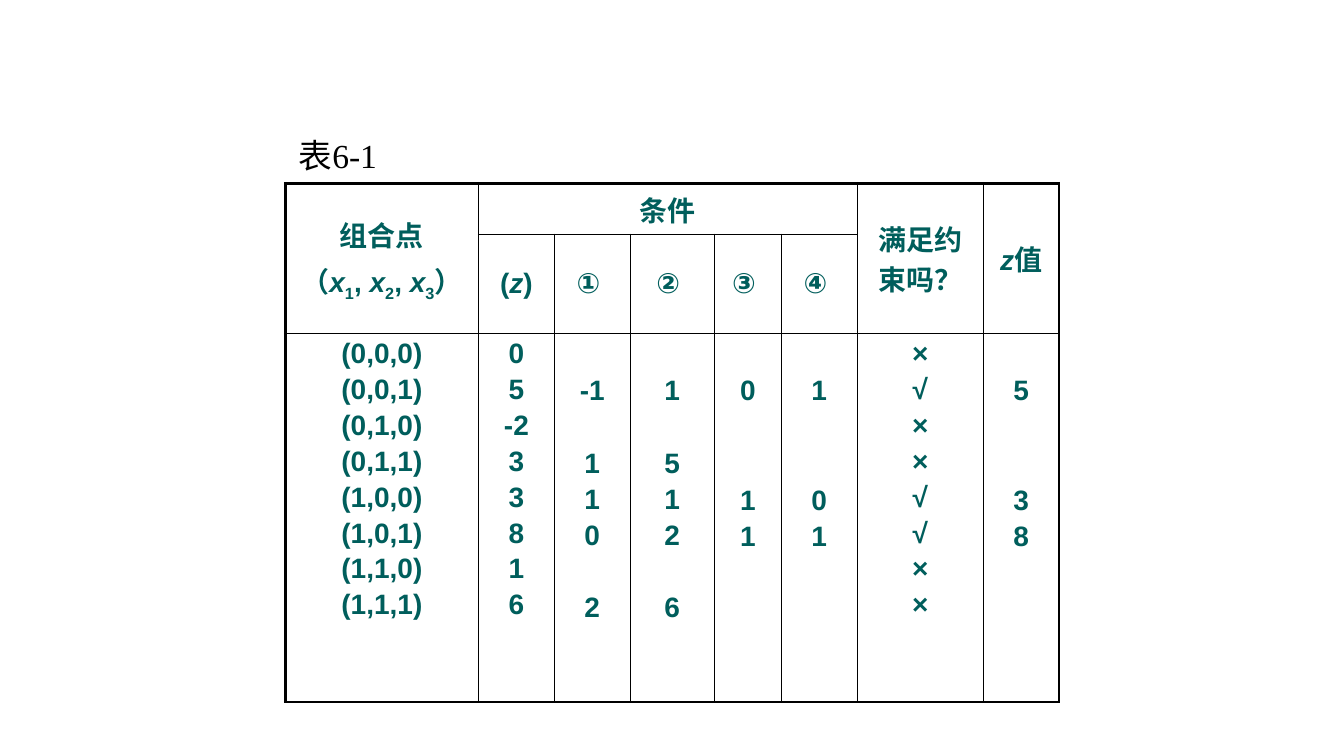
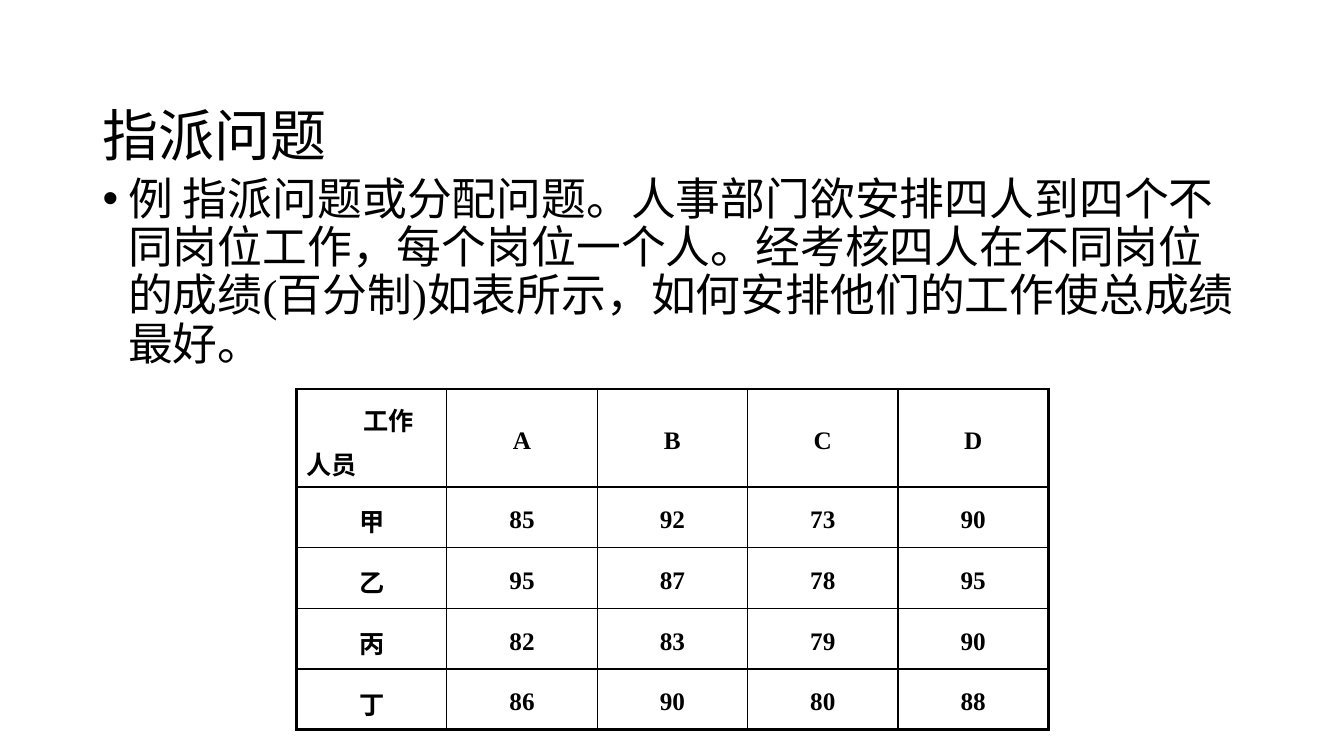
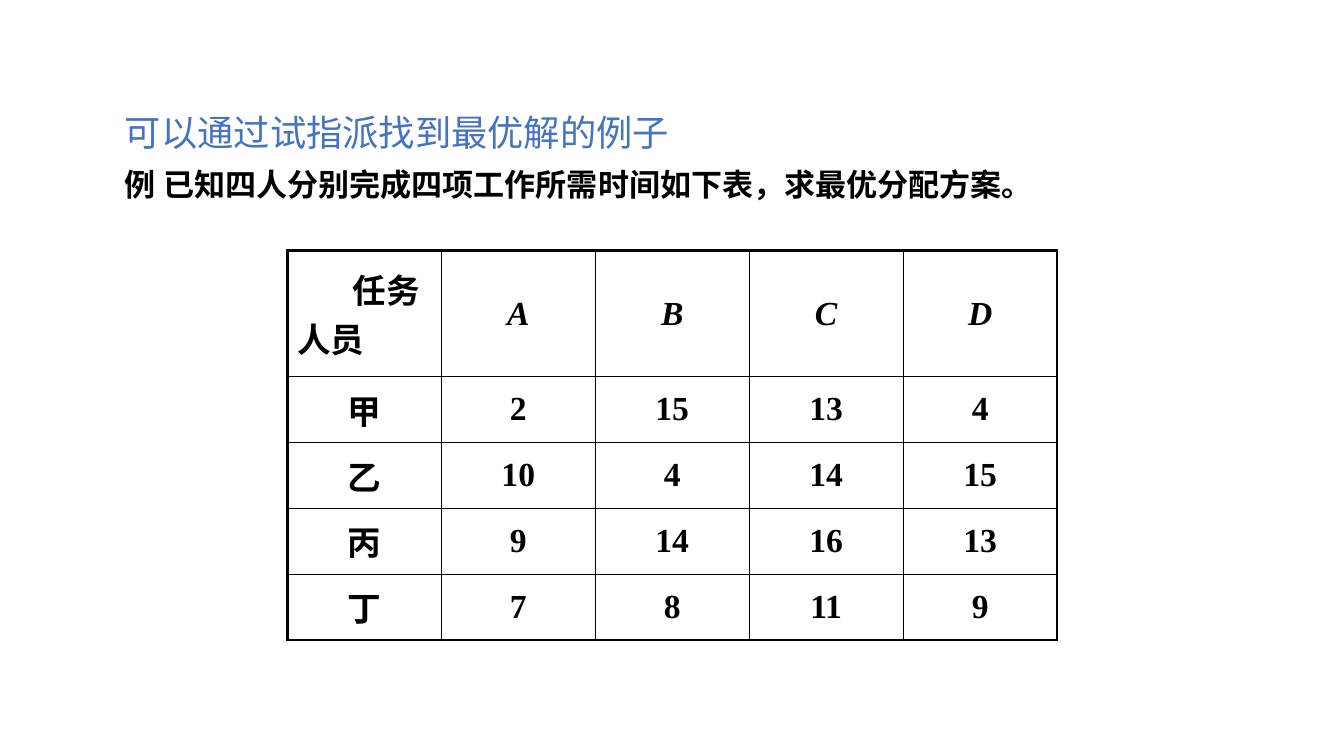
"""Build three slides on 0-1 enumeration and the assignment problem."""
from dataclasses import dataclass, replace

from lxml import etree
from pptx import Presentation
from pptx.dml.color import RGBColor
from pptx.enum.text import MSO_ANCHOR, PP_ALIGN
from pptx.oxml.ns import qn
from pptx.util import Cm, Pt

LEFT, CENTER = PP_ALIGN.LEFT, PP_ALIGN.CENTER
TOP, MIDDLE = MSO_ANCHOR.TOP, MSO_ANCHOR.MIDDLE
BLANK_LAYOUT = 6


@dataclass(frozen=True)
class TextStyle:
    """Character format of a run."""
    size: float
    color: str = "000000"
    latin: str = "Times New Roman"
    asian: str = "Noto Sans CJK SC"
    bold: bool = False
    italic: bool = False
    baseline: int = 0


@dataclass(frozen=True)
class Para:
    """Runs of (text, style) with their paragraph format."""
    runs: tuple
    align: PP_ALIGN = LEFT
    line_spacing: float = 1.0
    before: float = 0
    indent: float = 0
    bullet: str = ""


@dataclass(frozen=True)
class Theme:
    """Colours, type sizes and line widths of the deck."""
    line_color: str = "000000"
    outer_line: float = 2.25
    inner_line: float = 1
    cell_margin: float = 0.13
    row_pitch: float = 26.3
    row_gap: float = 3.3
    caption: TextStyle = TextStyle(24)
    enumeration: TextStyle = TextStyle(20, "005E5C", "Arial", bold=True)
    title: TextStyle = TextStyle(40, latin="Noto Sans CJK SC")
    body: TextStyle = TextStyle(32)
    subtitle: TextStyle = TextStyle(
        25.9, "4472C4", "Noto Sans CJK JP", "Noto Sans CJK JP")
    example: TextStyle = TextStyle(22.2, latin="Noto Sans CJK SC", bold=True)
    scores: TextStyle = TextStyle(18, bold=True)
    times: TextStyle = TextStyle(24, bold=True)


THEME = Theme()


def format_run(run, style):
    """Apply a text style to a run."""
    font = run.font
    font.size = Pt(style.size)
    font.bold = style.bold
    font.italic = style.italic
    font.color.rgb = RGBColor.from_string(style.color)
    font.name = style.latin
    properties = run._r.get_or_add_rPr()
    etree.SubElement(properties, qn("a:ea"), typeface=style.asian)
    if style.baseline:
        properties.set("baseline", str(style.baseline * 1000))


def add_bullet(paragraph, bullet, indent):
    """Give a paragraph a hanging bullet."""
    properties = paragraph._p.get_or_add_pPr()
    properties.set("indent", str(-Cm(indent)))
    etree.SubElement(properties, qn("a:buFont"), typeface="Arial")
    etree.SubElement(properties, qn("a:buChar"), char=bullet)


def write(frame, paras):
    """Fill a text frame with paragraphs."""
    for index, para in enumerate(paras):
        paragraph = frame.add_paragraph() if index else frame.paragraphs[0]
        paragraph.alignment = para.align
        paragraph.line_spacing = para.line_spacing
        paragraph.space_before = Pt(para.before)
        if para.indent:
            paragraph._p.get_or_add_pPr().set("marL", str(Cm(para.indent)))
        if para.bullet:
            add_bullet(paragraph, para.bullet, para.indent)
        for text, style in para.runs:
            run = paragraph.add_run()
            run.text = text
            format_run(run, style)


def add_text(slide, box, paras, anchor=TOP, wrap=True):
    """Place a text box given left, top, width and height in centimetres."""
    frame = slide.shapes.add_textbox(*map(Cm, box)).text_frame
    frame.word_wrap = wrap
    frame.vertical_anchor = anchor
    write(frame, paras)


def add_border(cell, side, width):
    """Draw one solid border of a cell."""
    line = etree.SubElement(
        cell._tc.get_or_add_tcPr(), qn(f"a:ln{side}"), w=str(Pt(width)))
    fill = etree.SubElement(line, qn("a:solidFill"))
    etree.SubElement(fill, qn("a:srgbClr"), val=THEME.line_color)


def add_grid(slide, left, top, widths, heights, merges=()):
    """Add an unfilled table with a heavy frame and thin inner lines."""
    rows, columns = len(heights), len(widths)
    table = slide.shapes.add_table(
        rows, columns, Cm(left), Cm(top),
        Cm(sum(widths)), Cm(sum(heights))).table
    table.first_row = table.horz_banding = False
    for column, width in zip(table.columns, widths):
        column.width = Cm(width)
    for row, height in zip(table.rows, heights):
        row.height = Cm(height)
    for first, last in merges:
        table.cell(*first).merge(table.cell(*last))
    for r in range(rows):
        for c in range(columns):
            cell = table.cell(r, c)
            if cell.is_spanned:
                continue
            right = c + (cell.span_width if cell.is_merge_origin else 1)
            bottom = r + (cell.span_height if cell.is_merge_origin else 1)
            edges = {"L": c == 0, "R": right == columns,
                     "T": r == 0, "B": bottom == rows}
            for side, outer in edges.items():
                add_border(cell, side,
                           THEME.outer_line if outer else THEME.inner_line)
            cell.fill.background()
            cell.vertical_anchor = MIDDLE
    return table


def write_column(cell, values):
    """Stack values at a fixed pitch, leaving room for the missing ones."""
    style = THEME.enumeration
    cell.vertical_anchor = TOP
    paras, missing = [], 0
    for value in values:
        if not value:
            missing += 1
            continue
        skipped = missing * THEME.row_pitch
        if paras:
            before = THEME.row_gap + skipped
        else:
            before = 0
            cell.margin_top = Cm(THEME.cell_margin) + Pt(skipped)
        paras.append(Para(((value, style),), CENTER, before=before))
        missing = 0
    write(cell.text_frame, paras)


def point_runs(style):
    """Return the runs of the variable triple with subscripts."""
    italic = replace(style, italic=True)
    subscript = replace(style, baseline=-25)
    runs = [("（", style)]
    for number, mark in zip("123", (", ", ", ", "）")):
        runs += [("x", italic), (number, subscript), (mark, style)]
    return tuple(runs)


def build_enumeration(slide):
    """Build the enumeration table."""
    style = THEME.enumeration
    italic = replace(style, italic=True)
    table = add_grid(
        slide, 7.19, 4.62,
        (4.87, 1.91, 1.91, 2.12, 1.69, 1.91, 3.18, 1.91),
        (1.26, 2.5, 9.29),
        (((0, 0), (1, 0)), ((0, 1), (0, 5)),
         ((0, 6), (1, 6)), ((0, 7), (1, 7))))
    write(table.cell(0, 0).text_frame, (
        Para((("组合点", style),), CENTER),
        Para(point_runs(style), CENTER, before=4)))
    headings = {
        (0, 1): (("条件", style),),
        (0, 6): (("满足约束吗？", style),),
        (0, 7): (("z", italic), ("值", style)),
        (1, 1): (("(", style), ("z", italic), (")", style)),
    }
    for column, mark in enumerate("①②③④", 2):
        headings[1, column] = ((f"{mark} ", style),)
    for place, runs in headings.items():
        write(table.cell(*place).text_frame, (Para(runs, CENTER),))
    results = (
        ("(0,0,0)", "0", "", "", "", "", "×", ""),
        ("(0,0,1)", "5", "-1", "1", "0", "1", "√", "5"),
        ("(0,1,0)", "-2", "", "", "", "", "×", ""),
        ("(0,1,1)", "3", "1", "5", "", "", "×", ""),
        ("(1,0,0)", "3", "1", "1", "1", "0", "√", "3"),
        ("(1,0,1)", "8", "0", "2", "1", "1", "√", "8"),
        ("(1,1,0)", "1", "", "", "", "", "×", ""),
        ("(1,1,1)", "6", "2", "6", "", "", "×", ""),
    )
    for column, values in enumerate(zip(*results)):
        write_column(table.cell(2, column), values)
    caption = (("表", THEME.caption), ("6-1 ", THEME.caption))
    add_text(slide, (5.23, 3.28, 6.78, 1.27), (Para(caption, CENTER),),
             MIDDLE, wrap=False)


def add_assignment(slide, place, width, heights, corner, indent, values,
                   style, head_style, line_spacing=1.0):
    """Add a table of four people against four jobs."""
    head_height, row_height = heights
    table = add_grid(slide, *place, (width,) * 5,
                     (head_height,) + (row_height,) * 4)
    write(table.cell(0, 0).text_frame, (
        Para(((corner, style),), line_spacing=line_spacing, indent=indent),
        Para((("人员", style),), line_spacing=line_spacing)))
    for column, job in enumerate("ABCD", 1):
        write(table.cell(0, column).text_frame,
              (Para(((job, head_style),), CENTER, line_spacing),))
    for row, (person, numbers) in enumerate(zip("甲乙丙丁", values), 1):
        for column, entry in enumerate((person, *numbers)):
            write(table.cell(row, column).text_frame,
                  (Para(((str(entry), style),), CENTER, line_spacing),))


def build_scores(slide):
    """Build the assignment problem with scores."""
    add_text(slide, (2.34, 2.31, 29.21, 2.36),
             (Para((("指派问题", THEME.title),), line_spacing=0.9),), MIDDLE)
    problem = ("例 指派问题或分配问题。人事部门欲安排四人到四个不同岗位工作，"
               "每个岗位一个人。经考核四人在不同岗位的成绩(百分制)如表所示，"
               "如何安排他们的工作使总成绩最好。")
    add_text(slide, (2.34, 4.32, 29.21, 5.21),
             (Para(((problem, THEME.body),), line_spacing=0.9,
                   indent=0.64, bullet="•"),))
    scores = ((85, 92, 73, 90), (95, 87, 78, 95),
              (82, 83, 79, 90), (86, 90, 80, 88))
    add_assignment(slide, (7.47, 9.8), 3.79, (2.47, 1.53), "工作", 1.43,
                   scores, THEME.scores, THEME.scores, 1.2)


def build_times(slide):
    """Build the example solved by trial assignment."""
    example = "例 已知四人分别完成四项工作所需时间如下表，求最优分配方案。"
    add_text(slide, (2.9, 2.54, 28.09, 2.79), (
        Para((("可以通过试指派找到最优解的例子", THEME.subtitle),),
             line_spacing=1.1),
        Para(((example, THEME.example),), line_spacing=1.1, before=6)))
    times = ((2, 15, 13, 4), (10, 4, 14, 15), (9, 14, 16, 13), (7, 8, 11, 9))
    add_assignment(slide, (7.24, 6.32), 3.88, (3.17, 1.66), "任务", 1.4,
                   times, THEME.times, replace(THEME.times, italic=True))


def main():
    """Build and save the deck."""
    deck = Presentation()
    deck.slide_width, deck.slide_height = Cm(33.87), Cm(19.05)
    for build in (build_enumeration, build_scores, build_times):
        build(deck.slides.add_slide(deck.slide_layouts[BLANK_LAYOUT]))
    deck.save("out.pptx")


if __name__ == "__main__":
    main()
